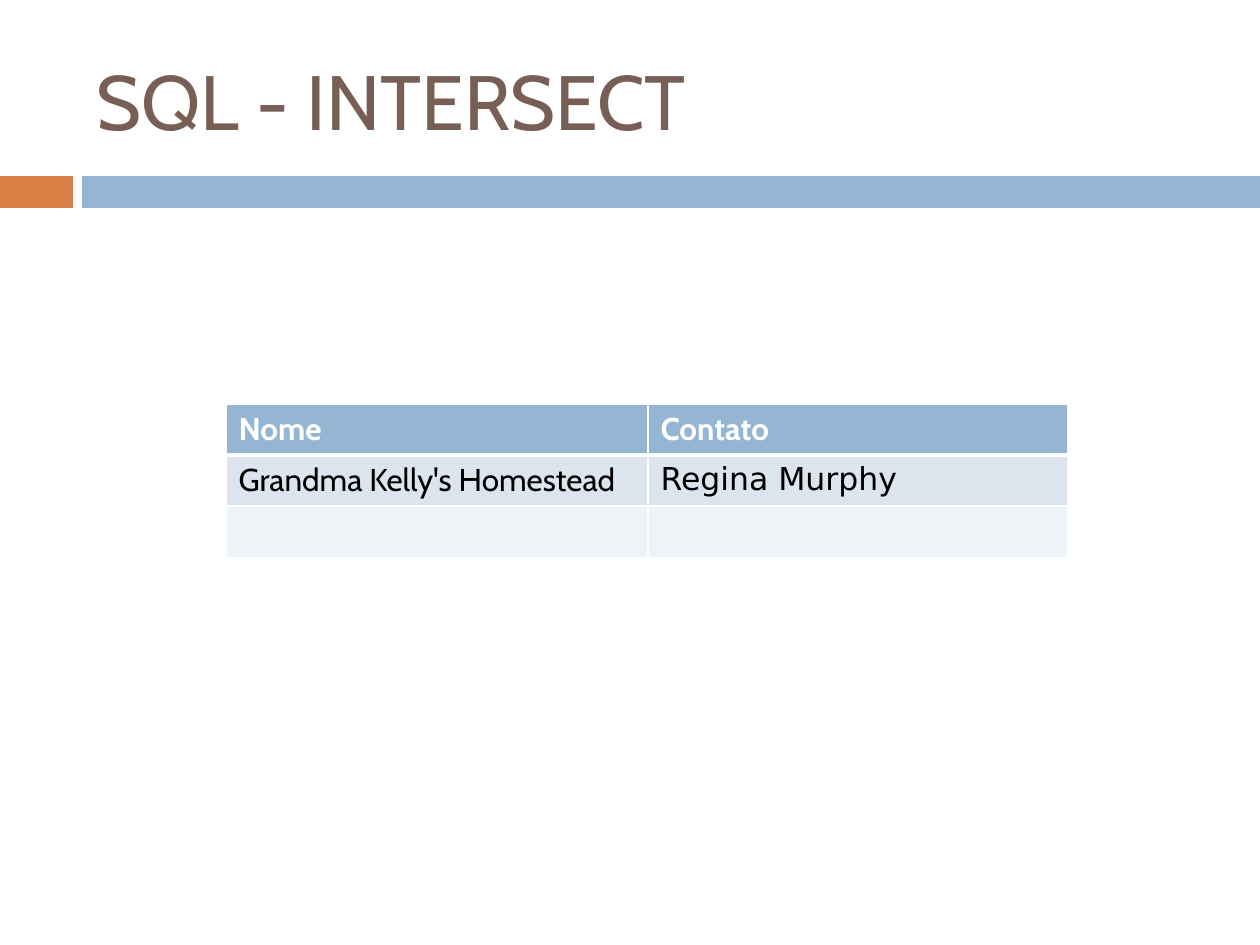
import pptx
import pptx.dml.color
import pptx.enum.shapes
import pptx.enum.text
import pptx.oxml.ns
import pptx.util
from lxml import etree

EMU_PER_PX = 914400 / 126


def px(length):
    return pptx.util.Emu(round(length * EMU_PER_PX))


def color(hex_value):
    return pptx.dml.color.RGBColor.from_string(hex_value)


presentation = pptx.Presentation()
presentation.slide_width, presentation.slide_height = px(1260), px(945)
slide = presentation.slides.add_slide(presentation.slide_layouts[5])

# Band under the title
for left, width, fill in [(0, 73, "DD8047"), (82, 1178, "94B6D2")]:
    bar = slide.shapes.add_shape(
        pptx.enum.shapes.MSO_SHAPE.RECTANGLE, px(left), px(176), px(width), px(32))
    bar.shadow.inherit = False
    bar.fill.solid()
    bar.fill.fore_color.rgb = color(fill)
    bar.line.fill.background()

# Title
title = slide.shapes.title
title.left, title.top, title.width, title.height = px(84), px(32), px(1124), px(136)
title.text_frame.text = "SQL - INTERSECT"
title.text_frame.vertical_anchor = pptx.enum.text.MSO_ANCHOR.MIDDLE
paragraph = title.text_frame.paragraphs[0]
paragraph.alignment = pptx.enum.text.PP_ALIGN.LEFT
paragraph.font.name = "Cabin"
paragraph.font.size = pptx.util.Pt(44)
paragraph.font.color.rgb = color("775F55")

# Result table
rows = [
    ("94B6D2", "FFFFFF", ["Nome", "Contato"]),
    ("DCE5EE", "000000", ["Grandma Kelly's Homestead", "Regina Murphy"]),
    ("EEF3F7", "000000", ["", ""]),
]
fonts = {"Regina Murphy": "DejaVu Sans"}
table = slide.shapes.add_table(3, 2, px(226), px(404), px(842), px(153)).table
for column, width in zip(table.columns, (422, 420)):
    column.width = px(width)

for row_index, (fill, text_color, texts) in enumerate(rows):
    table.rows[row_index].height = px(51)
    # The rule between header and body is thicker than the others
    border_points = {"lnL": 1, "lnR": 1,
                     "lnT": 3 if row_index == 1 else 1,
                     "lnB": 3 if row_index == 0 else 1}
    for column_index, text in enumerate(texts):
        cell = table.cell(row_index, column_index)
        properties = cell._tc.get_or_add_tcPr()
        for tag, points in border_points.items():
            border = etree.SubElement(properties, pptx.oxml.ns.qn("a:" + tag),
                                      w=str(pptx.util.Pt(points)))
            border_fill = etree.SubElement(border, pptx.oxml.ns.qn("a:solidFill"))
            etree.SubElement(border_fill, pptx.oxml.ns.qn("a:srgbClr"), val="FFFFFF")
        cell.fill.solid()
        cell.fill.fore_color.rgb = color(fill)
        cell.text = text
        font = cell.text_frame.paragraphs[0].font
        font.color.rgb = color(text_color)
        font_format = {"name": fonts.get(text, "Cabin"),
                       "size": pptx.util.Pt(18),
                       "bold": row_index == 0}
        for attribute, value in font_format.items():
            setattr(font, attribute, value)

presentation.save("out.pptx")
